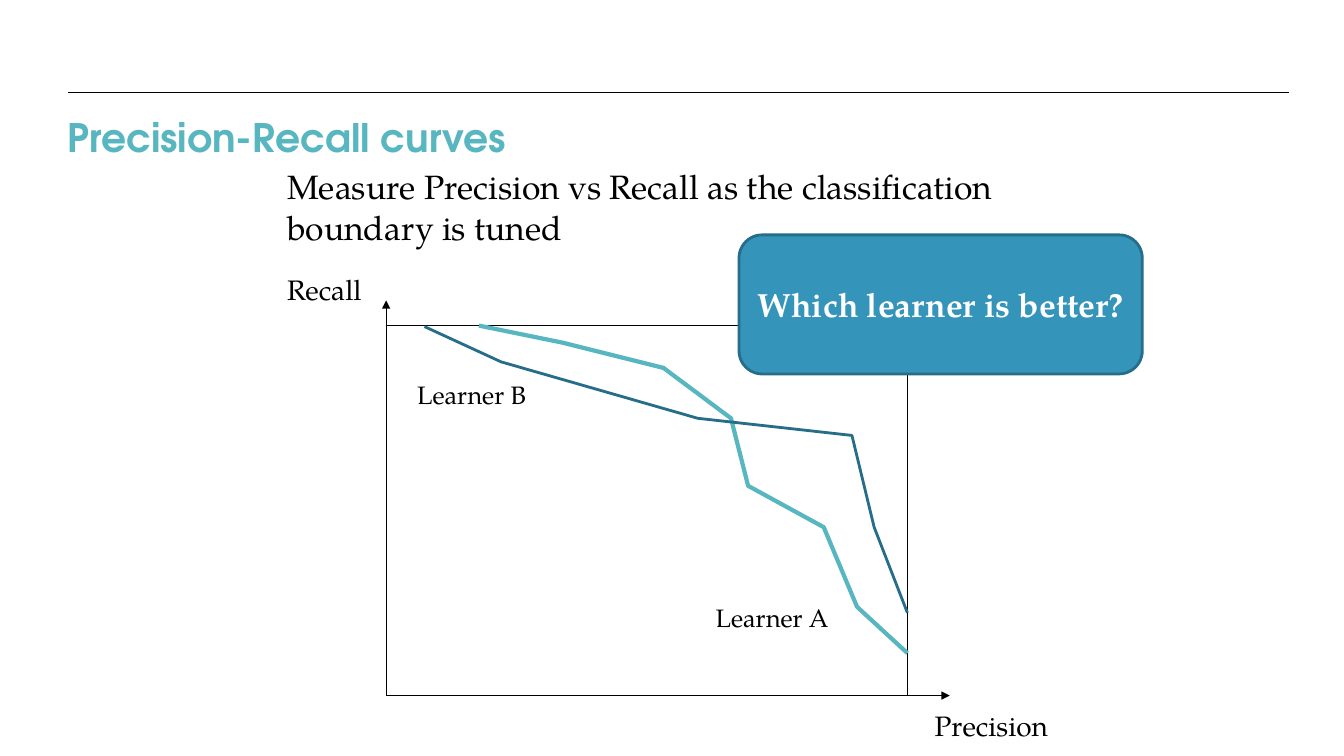
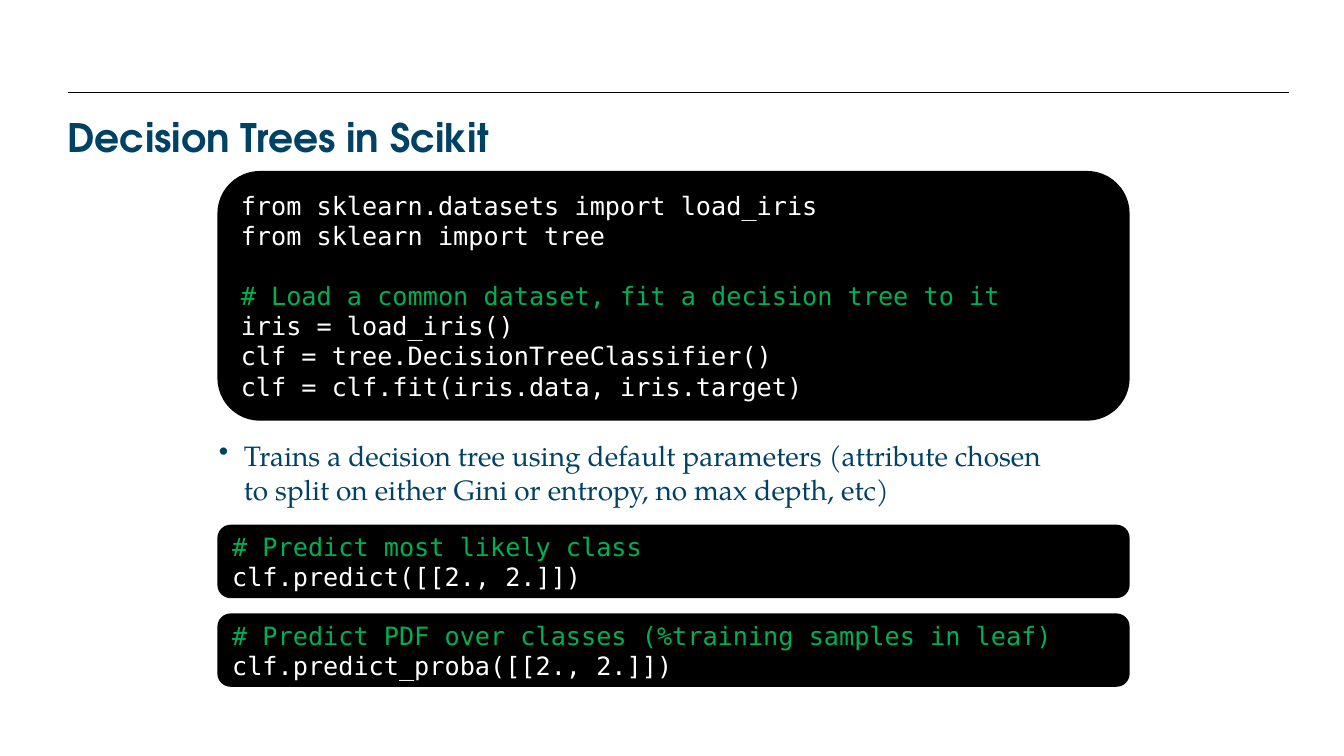
"""Build two slides: precision-recall curves and decision trees in code."""
from lxml.etree import SubElement
from pptx import Presentation
from pptx.dml.color import RGBColor
from pptx.enum.shapes import MSO_CONNECTOR, MSO_SHAPE
from pptx.enum.text import MSO_ANCHOR, PP_ALIGN
from pptx.oxml.ns import qn
from pptx.util import Inches, Pt

HUES = {
    "black": "000000", "white": "FFFFFF", "teal": "58B6C0", "blue": "3494BA",
    "edge": "266D8A", "navy": "004266", "green": "00B050",
}
HEAD, BODY, MONO = "TeX Gyre Adventor", "TeX Gyre Pagella", "DejaVu Sans Mono"

LABELS = [
    ("Precision", 9.17, 6.98, 1.75, 0.43, 20),
    ("Recall", 2.75, 2.65, 1.33, 0.43, 20),
    ("Measure Precision vs Recall as the classification boundary is tuned",
     2.75, 1.6, 7.83, 0.91, 24),
    ("Learner A", 7, 5.93, 1.4, 0.4, 18),
    ("Learner B", 4.04, 3.71, 1.4, 0.4, 18),
]
CURVES = [
    ("teal", 3, [(4.75, 3.23), (5.58, 3.4), (6.58, 3.65), (7.25, 4.15),
                 (7.42, 4.82), (8.17, 5.23), (8.5, 6.02), (9, 6.48)]),
    ("edge", 2, [(9, 6.08), (8.67, 5.23), (8.45, 4.32), (6.92, 4.15),
                 (4.97, 3.59), (4.21, 3.24)]),
]
PLOT = {"left": 3.83, "top": 3.23, "right": 9, "base": 6.9}
TIPS = [(9.42, PLOT["base"]), (PLOT["left"], 2.98)]

NOTE = ("Trains a decision tree using default parameters (attribute chosen "
        "to split on either Gini or entropy, no max depth, etc)")
CODE = [
    (1.71, 2.45, [
        ["from sklearn.datasets import load_iris",
         "from sklearn import tree"],
        ["# Load a common dataset, fit a decision tree to it",
         "iris = load_iris()",
         "clf = tree.DecisionTreeClassifier()",
         "clf = clf.fit(iris.data, iris.target)"],
    ]),
    (5.22, 0.7, [["# Predict most likely class", "clf.predict([[2., 2.]])"]]),
    (6.1, 0.7, [["# Predict PDF over classes (%training samples in leaf)",
                 "clf.predict_proba([[2., 2.]])"]]),
]


def hue(name):
    return RGBColor.from_string(HUES[name])


def write(para, text, size=18, font=BODY, color="black", bold=False,
          align=PP_ALIGN.LEFT, before=0, bullet=None):
    if bullet:
        props = para._p.get_or_add_pPr()
        props.set("marL", str(Inches(0.25)))
        props.set("indent", str(-Inches(0.25)))
        SubElement(props, qn("a:buChar")).set("char", bullet)
    para.alignment = align
    para.space_before = Pt(before)
    run = para.add_run()
    run.text = text
    run.font.size = Pt(size)
    run.font.name = font
    run.font.bold = bold
    run.font.color.rgb = hue(color)


def text_box(slide, text, left, top, width, height, inset=True,
             anchor=MSO_ANCHOR.TOP, **style):
    box = slide.shapes.add_textbox(*map(Inches, (left, top, width, height)))
    frame = box.text_frame
    frame.word_wrap = True
    frame.vertical_anchor = anchor
    if not inset:
        frame.margin_left = frame.margin_right = 0
        frame.margin_top = frame.margin_bottom = 0
    write(frame.paragraphs[0], text, **style)


def paint(shape, line, weight, fill=None):
    shape.shadow.inherit = False
    shape.line.color.rgb = hue(line)
    shape.line.width = Pt(weight)
    if fill:
        shape.fill.solid()
        shape.fill.fore_color.rgb = hue(fill)
    else:
        shape.fill.background()


def panel(slide, kind, left, top, width, height, **look):
    shape = slide.shapes.add_shape(
        kind, *map(Inches, (left, top, width, height)))
    paint(shape, **look)
    frame = shape.text_frame
    frame.word_wrap = True
    frame.vertical_anchor = MSO_ANCHOR.MIDDLE
    return frame


def rule(slide, start, end, arrow=False):
    line = slide.shapes.add_connector(
        MSO_CONNECTOR.STRAIGHT, *map(Inches, (*start, *end)))
    line.line.color.rgb = hue("black")
    line.line.width = Pt(0.75)
    if arrow:
        SubElement(line.line._ln, qn("a:tailEnd")).set("type", "triangle")
    SubElement(line._element.spPr, qn("a:effectLst"))


def curve(slide, color, weight, points):
    spots = [(Inches(x), Inches(y)) for x, y in points]
    pen = slide.shapes.build_freeform(*spots[0])
    pen.add_line_segments(spots[1:], close=False)
    paint(pen.convert_to_shape(), color, weight)


def code_box(slide, top, height, blocks):
    frame = panel(slide, MSO_SHAPE.ROUNDED_RECTANGLE, 2.17, top, 9.02, height,
                  line="black", weight=2, fill="black")
    para = frame.paragraphs[0]
    for i, block in enumerate(blocks):
        for j, text in enumerate(block):
            if i or j:
                para = frame.add_paragraph()
            write(para, text, font=MONO, before=21 if i and not j else 0,
                  color="green" if text.startswith("#") else "white")


def new_slide(deck, title, color):
    slide = deck.slides.add_slide(deck.slide_layouts[6])
    rule(slide, (0.67, 0.92), (12.78, 0.92))
    text_box(slide, title, 0.67, 1.12, 12, 0.47, inset=False,
             anchor=MSO_ANCHOR.MIDDLE, size=28, font=HEAD, color=color,
             bold=True)
    return slide


def curve_slide(deck):
    slide = new_slide(deck, "Precision-Recall curves", "teal")
    left, top, right, base = PLOT.values()
    for tip in TIPS:
        rule(slide, (left, base), tip, arrow=True)
    panel(slide, MSO_SHAPE.RECTANGLE, left, top, right - left, base - top,
          line="black", weight=0.75)
    for item in CURVES:
        curve(slide, *item)
    for text, *place, size in LABELS:
        text_box(slide, text, *place, size=size)
    frame = panel(slide, MSO_SHAPE.ROUNDED_RECTANGLE, 7.33, 2.33, 4, 1.38,
                  line="edge", weight=2, fill="blue")
    write(frame.paragraphs[0], "Which learner is better?", size=24,
          color="white", bold=True, align=PP_ALIGN.CENTER)


def tree_slide(deck):
    slide = new_slide(deck, "Decision Trees in Scikit", "navy")
    text_box(slide, NOTE, 2.17, 4.35, 8.33, 0.82, inset=False, size=20,
             color="navy", bullet="•")
    for item in CODE:
        code_box(slide, *item)


def main():
    deck = Presentation()
    deck.slide_width, deck.slide_height = Inches(13.33), Inches(7.5)
    curve_slide(deck)
    tree_slide(deck)
    deck.save("out.pptx")


if __name__ == "__main__":
    main()
